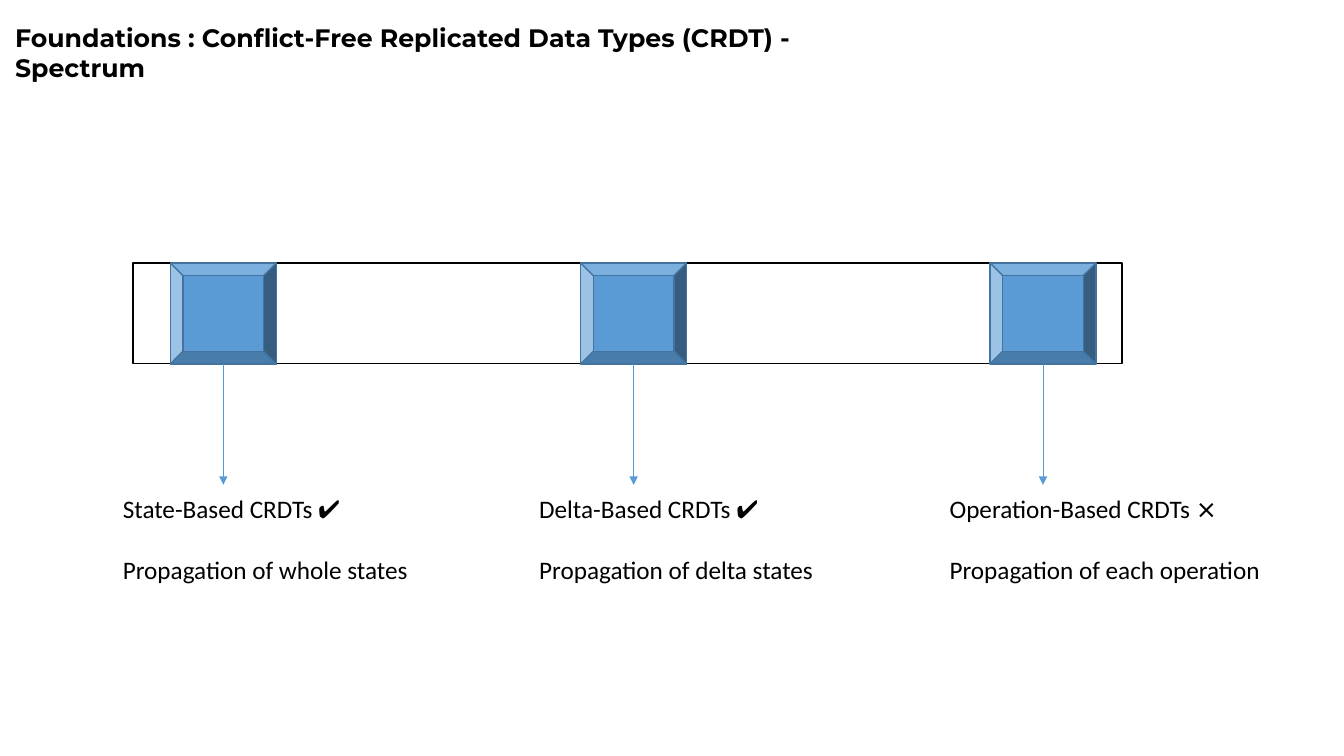
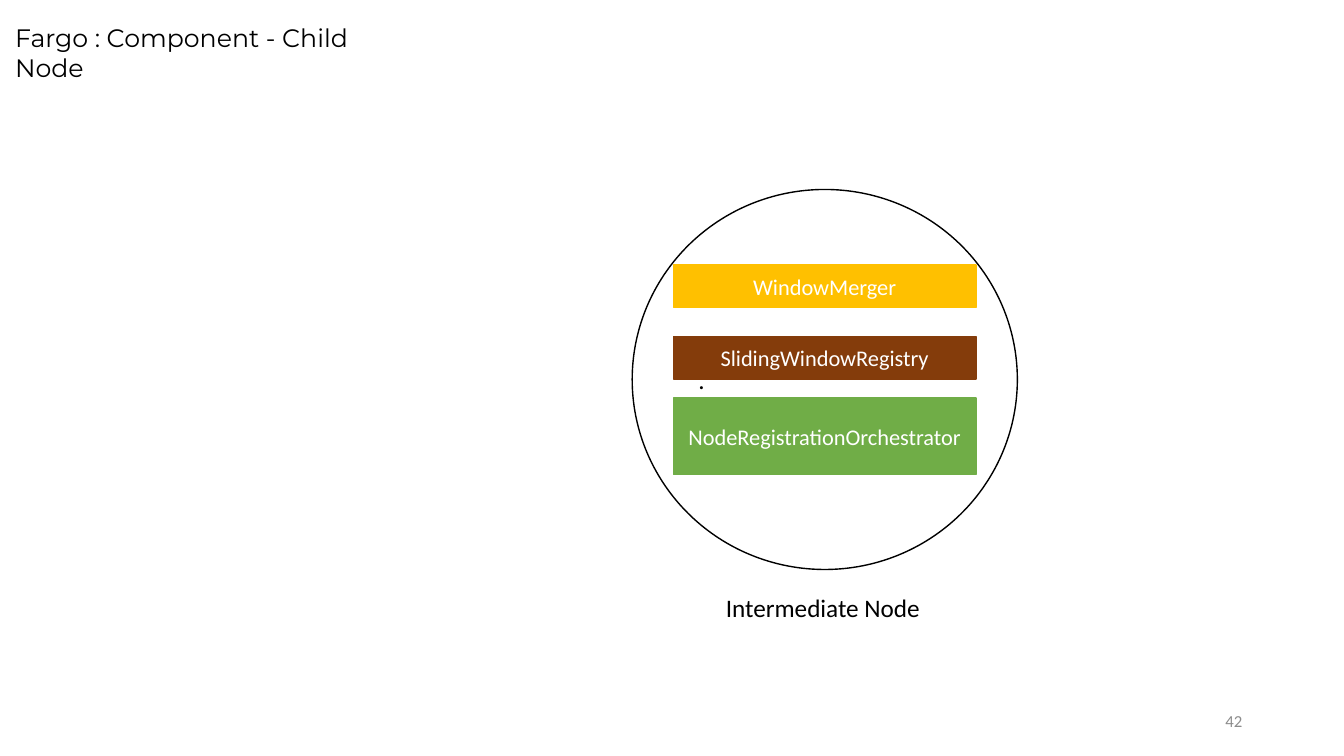
"""Build two slides on CRDT types and the components of an intermediate node."""
from lxml.etree import SubElement
from pptx import Presentation
from pptx.dml.color import RGBColor
from pptx.enum.shapes import MSO_CONNECTOR, MSO_SHAPE
from pptx.enum.text import MSO_ANCHOR, MSO_AUTO_SIZE, PP_ALIGN
from pptx.oxml.ns import qn
from pptx.util import Emu, Pt

PX = 9144
BLACK, WHITE, GREY = "000000", "FFFFFF", "8C8C8C"
BLUE, DARK_BLUE = "5B9BD5", "43739E"
BROWN, GREEN, AMBER = "843C0B", "70AD47", "FFC000"
BODY_FONT, TITLE_FONT = "Calibri", "Montserrat"


def write(shape, place, lines, size=18, color=BLACK, font=BODY_FONT, bold=False,
          align=PP_ALIGN.LEFT, anchor=MSO_ANCHOR.TOP):
    """Place a shape and fill it with one paragraph per line."""
    shape.left, shape.top, shape.width, shape.height = [Emu(n * PX) for n in place]
    frame = shape.text_frame
    frame.word_wrap = True
    frame.auto_size = MSO_AUTO_SIZE.NONE
    frame.vertical_anchor = anchor
    for index, line in enumerate(lines):
        para = frame.paragraphs[0] if index == 0 else frame.add_paragraph()
        para.alignment = align
        para.space_before = Pt(22 if index else 0)
        span = para.add_run()
        span.text = line
        span.font.size = Pt(size)
        span.font.name = font
        span.font.bold = bold
        span.font.color.rgb = RGBColor.from_string(color)


def draw(page, kind, place, fill, line):
    """Add a flat preset shape with a one-point outline."""
    shape = page.shapes.add_shape(kind, *[Emu(n * PX) for n in place])
    shape.shadow.inherit = False
    shape.fill.solid()
    shape.fill.fore_color.rgb = RGBColor.from_string(fill)
    shape.line.color.rgb = RGBColor.from_string(line)
    shape.line.width = Pt(1)
    return shape


deck = Presentation()
deck.slide_width, deck.slide_height = Emu(1333 * PX), Emu(750 * PX)

titles = [
    ("Foundations : Conflict-Free Replicated Data Types (CRDT) - Spectrum", 789, True),
    ("Fargo : Component - Child Node", 354, False),
]
pages = []
for title, width, bold in titles:
    page = deck.slides.add_slide(deck.slide_layouts[5])
    write(page.shapes.title, (5, 17, width, 71), [title], font=TITLE_FONT, bold=bold)
    pages.append(page)
spectrum_page, node_page = pages

bar_top, bar_height, bevel_width, arrow_length = 261, 100, 105, 120
draw(spectrum_page, MSO_SHAPE.RECTANGLE, (132, bar_top, 981, bar_height), WHITE, BLACK)
crdt_types = [
    (169, 112, "State-Based CRDTs ✔", "Propagation of whole states"),
    (576, 525, "Delta-Based CRDTs ✔", "Propagation of delta states"),
    (982, 932, "Operation-Based CRDTs ⨯", "Propagation of each operation"),
]
for bevel_left, caption_left, name, detail in crdt_types:
    bevel = draw(spectrum_page, MSO_SHAPE.BEVEL,
                 (bevel_left, bar_top, bevel_width, bar_height), BLUE, DARK_BLUE)
    middle = bevel.left + bevel.width // 2
    bottom = bevel.top + bevel.height
    arrow = spectrum_page.shapes.add_connector(
        MSO_CONNECTOR.STRAIGHT, middle, bottom, middle, bottom + arrow_length * PX)
    arrow.begin_connect(bevel, 2)
    arrow.line.color.rgb = RGBColor.from_string(BLUE)
    arrow.line.width = Pt(0.5)
    SubElement(arrow.line._get_or_add_ln(), qn("a:tailEnd"), type="triangle")
    SubElement(arrow._element.spPr, qn("a:effectLst"))
    caption = spectrum_page.shapes.add_textbox(0, 0, 0, 0)
    write(caption, (caption_left, 484, 340, 101), [name, detail])

node_place = (627, 188, 382, 377)
node = draw(node_page, MSO_SHAPE.OVAL, node_place, WHITE, BLACK)
write(node, node_place, ["."], anchor=MSO_ANCHOR.MIDDLE)
components = [
    ("WindowMerger", 263, 42, AMBER),
    ("SlidingWindowRegistry", 334, 42, BROWN),
    ("NodeRegistrationOrchestrator", 395, 76, GREEN),
]
for name, top, height, color in components:
    place = (668, top, 300, height)
    component = draw(node_page, MSO_SHAPE.RECTANGLE, place, color, color)
    write(component, place, [name], 16, WHITE,
          align=PP_ALIGN.CENTER, anchor=MSO_ANCHOR.MIDDLE)

node_caption = node_page.shapes.add_textbox(0, 0, 0, 0)
write(node_caption, (710, 583, 215, 71), ["Intermediate Node"])
page_number = node_page.shapes.add_textbox(0, 0, 0, 0)
write(page_number, (942, 695, 300, 40), ["42"], 12, GREY,
      align=PP_ALIGN.RIGHT, anchor=MSO_ANCHOR.MIDDLE)

deck.save("out.pptx")
